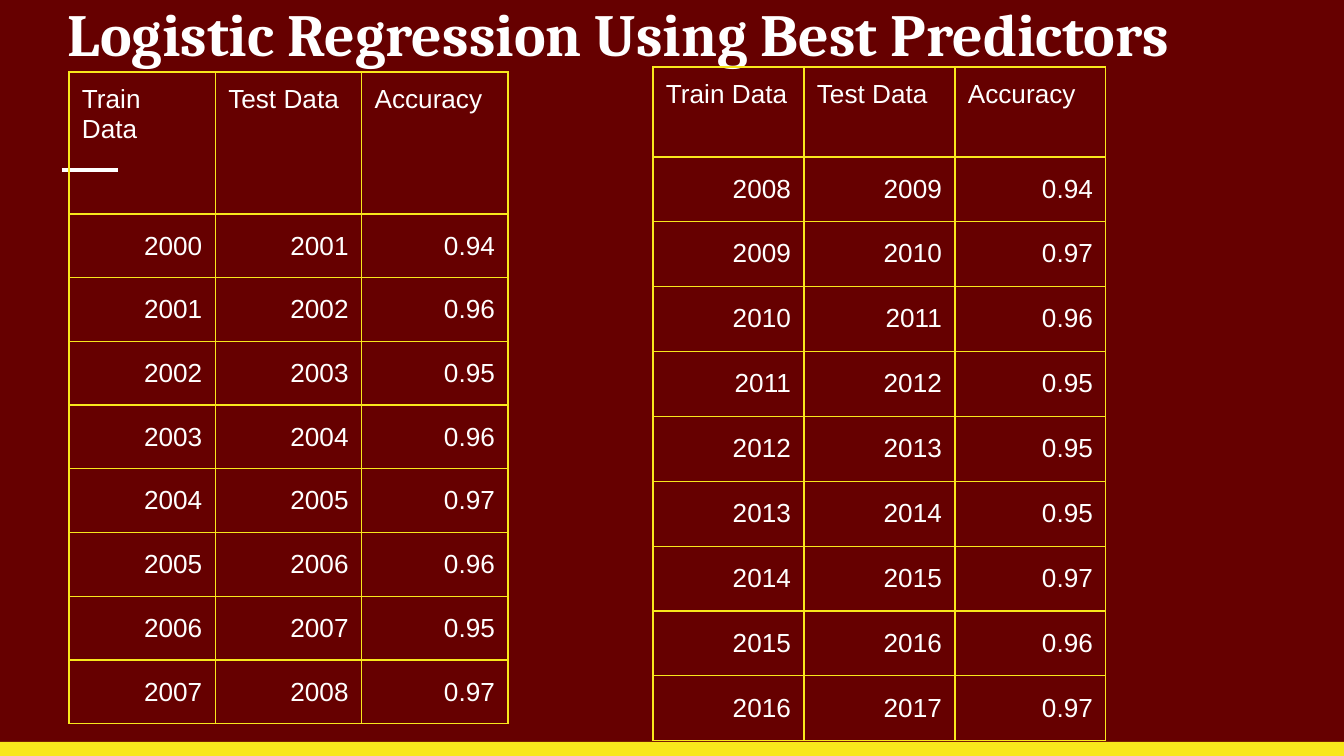
import pptx
import pptx.dml.color
import pptx.enum.shapes
import pptx.enum.text
import pptx.oxml
import pptx.oxml.ns
import pptx.util
from lxml import etree

COLORS = {"background": "660000", "accent": "F8E71C", "text": "FFFFFF"}
HEADERS = ["Train Data", "Test Data", "Accuracy"]
EARLY_ACCURACY = ["0.94", "0.96", "0.95", "0.96", "0.97", "0.96", "0.95", "0.97"]
LATE_ACCURACY = ["0.94", "0.97", "0.96", "0.95", "0.95", "0.95", "0.97", "0.96", "0.97"]


def px(n):
    return pptx.util.Emu(round(n * 914400 / 134.4))


def rgb(name):
    return pptx.dml.color.RGBColor.from_string(COLORS[name])


def year_rows(first, accuracies):
    return [[str(year), str(year + 1), accuracy]
            for year, accuracy in enumerate(accuracies, first)]


class Deck:
    inset = 13

    def __init__(self, width, height):
        self.prs = pptx.Presentation()
        self.prs.slide_width, self.prs.slide_height = px(width), px(height)
        self.s = self.prs.slides.add_slide(self.prs.slide_layouts[6])
        fill = self.s.background.fill
        fill.solid()
        fill.fore_color.rgb = rgb("background")

    def style(self, p, font, size, bold=False):
        p.font.name = font
        p.font.size = pptx.util.Pt(size)
        p.font.bold = bold
        p.font.color.rgb = rgb("text")

    def margins(self, box):
        box.margin_left = box.margin_right = px(self.inset)
        box.margin_top = box.margin_bottom = px(self.inset)

    def bar(self, x, y, w, h):
        sp = self.s.shapes.add_shape(
            pptx.enum.shapes.MSO_SHAPE.RECTANGLE, px(x), px(y), px(w), px(h))
        sp.shadow.inherit = False
        sp.fill.solid()
        sp.fill.fore_color.rgb = rgb("accent")
        sp.line.fill.background()

    def line(self, x1, y1, x2, y2):
        sp = self.s.shapes.add_connector(
            pptx.enum.shapes.MSO_CONNECTOR.STRAIGHT, px(x1), px(y1), px(x2), px(y2))
        sp.line.color.rgb = rgb("text")
        sp.line.width = pptx.util.Pt(2.25)
        etree.SubElement(sp._element.spPr, pptx.oxml.ns.qn("a:effectLst"))

    def title(self, x, y, w, h, text):
        tf = self.s.shapes.add_textbox(px(x), px(y), px(w), px(h)).text_frame
        tf.word_wrap = True
        tf.vertical_anchor = pptx.enum.text.MSO_ANCHOR.TOP
        self.margins(tf)
        p = tf.paragraphs[0]
        p.text = text
        self.style(p, "Cambria", 32, bold=True)

    def borders(self, cell):
        tc_pr = cell._tc.get_or_add_tcPr()
        for i, side in enumerate(("lnL", "lnR", "lnT", "lnB")):
            tc_pr.insert(i, pptx.oxml.parse_xml(
                f'<a:{side} {pptx.oxml.ns.nsdecls("a")} w="{pptx.util.Pt(0.75)}">'
                f'<a:solidFill><a:srgbClr val="{COLORS["accent"]}"/></a:solidFill>'
                f'</a:{side}>'))

    def table(self, x, y, w, header_h, body_h, rows):
        table = self.s.shapes.add_table(
            len(rows) + 1, len(HEADERS), px(x), px(y), px(w), px(header_h + body_h)).table
        for column in table.columns:
            column.width = px(w / len(HEADERS))
        for i, values in enumerate([HEADERS] + rows):
            table.rows[i].height = px(body_h / len(rows)) if i else px(header_h)
            for j, value in enumerate(values):
                cell = table.cell(i, j)
                cell.fill.background()
                self.margins(cell)
                self.borders(cell)
                p = cell.text_frame.paragraphs[0]
                p.text = value
                self.style(p, "Arial", 14)
                if i:
                    p.alignment = pptx.enum.text.PP_ALIGN.RIGHT
                    p.line_spacing = 1.15


def main():
    deck = Deck(1344, 756)
    deck.bar(0, 742, 1344, 14)
    deck.line(62, 170, 118, 170)
    deck.title(55, -16, 1208, 113, "Logistic Regression Using Best Predictors")
    deck.table(69, 72, 439, 142, 510, year_rows(2000, EARLY_ACCURACY))
    deck.table(653, 67, 453, 90, 584, year_rows(2008, LATE_ACCURACY))
    deck.prs.save("out.pptx")


if __name__ == "__main__":
    main()
